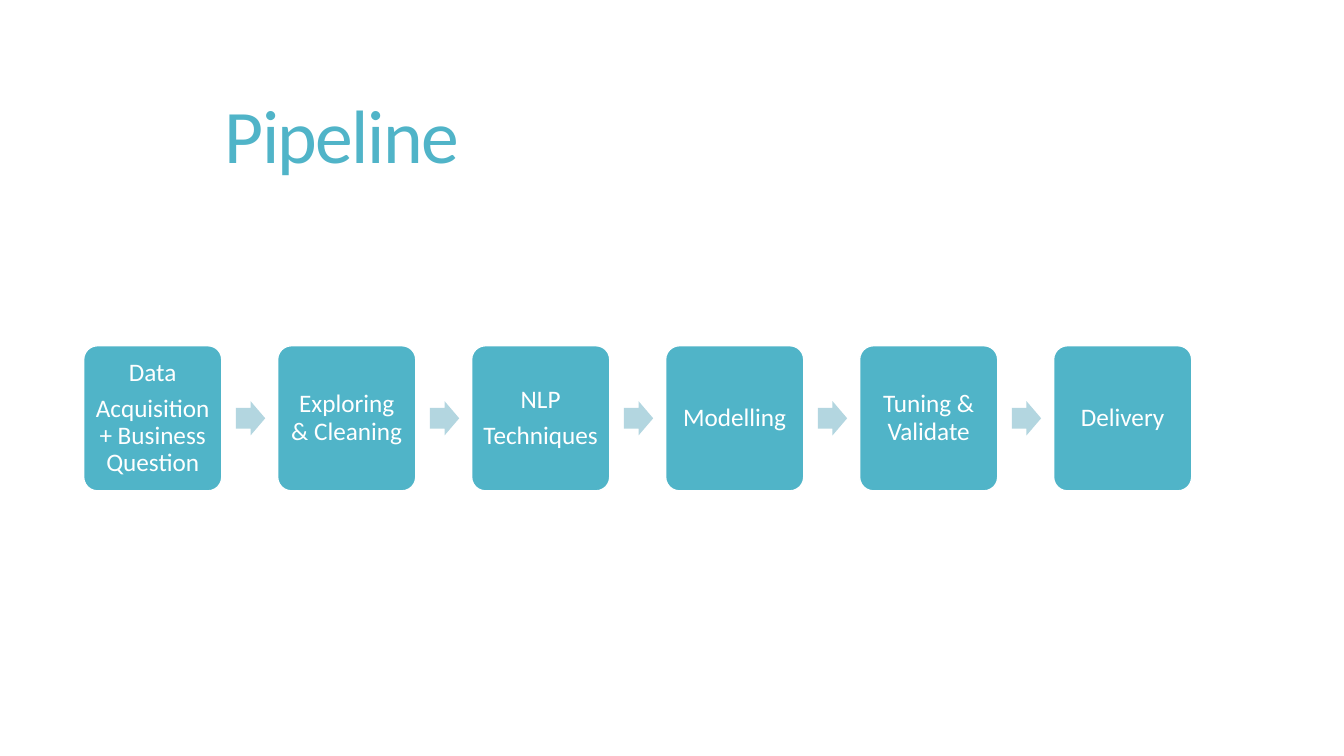
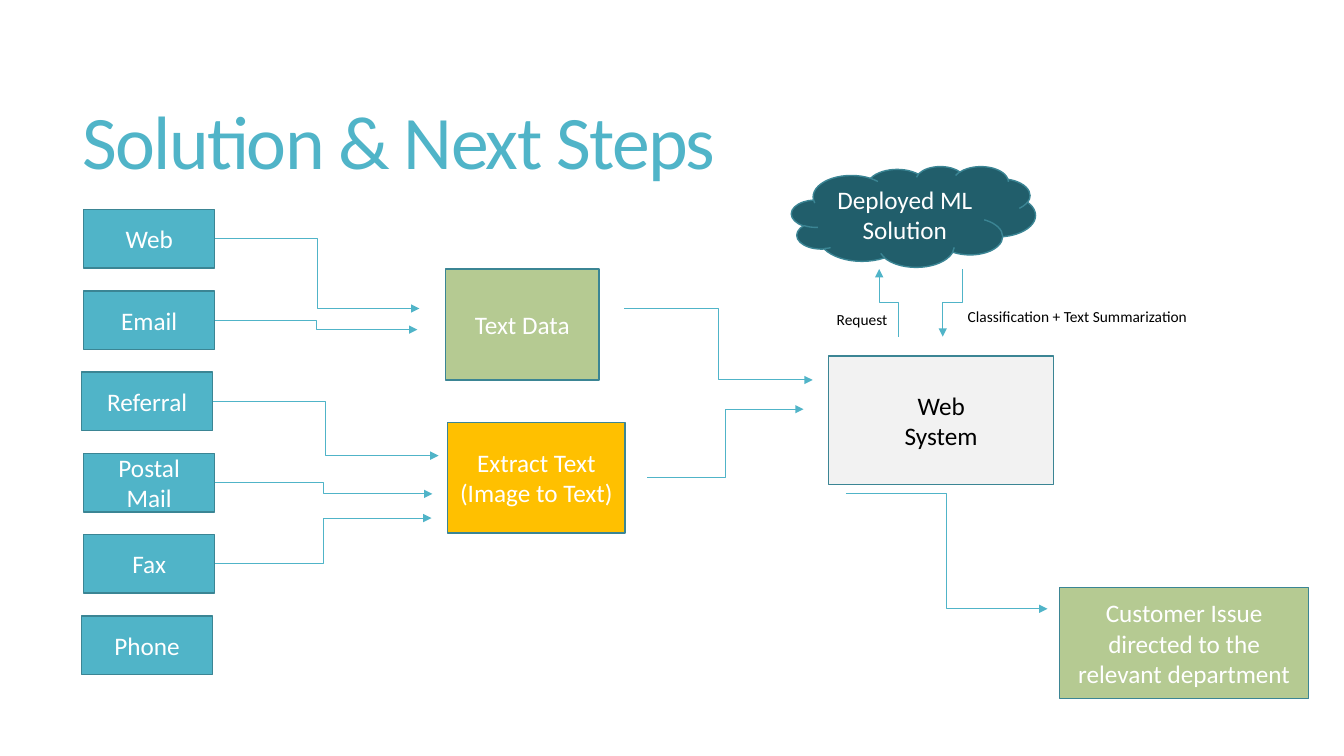
from dataclasses import dataclass

from lxml.etree import SubElement
from pptx import Presentation
from pptx.dml.color import RGBColor as RGB
from pptx.enum.shapes import MSO_CONNECTOR as LINK, MSO_SHAPE as SHAPE
from pptx.enum.text import MSO_ANCHOR as ANCHOR, PP_ALIGN as ALIGN
from pptx.oxml.ns import qn
from pptx.util import Inches, Pt


@dataclass(frozen=True)
class Theme:
    font: str = "Calibri"
    teal: str = "50B4C8"
    pale: str = "B3D6E0"
    deep: str = "215E6B"
    edge: str = "3B8594"
    green: str = "B5CA92"
    gold: str = "FFC000"
    grey: str = "F2F2F2"
    white: str = "FFFFFF"
    black: str = "000000"
    title: float = 54
    body: float = 18
    note: float = 11


THEME = Theme()


def apply(target, values):
    for name, value in values.items():
        setattr(target, name, value)


def write(shape, text, size, color, frame, para):
    box = shape.text_frame
    apply(box, frame)
    box.text = text
    for line in box.paragraphs:
        apply(line, para)
        for run in line.runs:
            apply(run.font, {"name": THEME.font, "size": Pt(size)})
            run.font.color.rgb = RGB.from_string(color)


def add_text(slide, at, text, size, color, frame, para):
    box = slide.shapes.add_textbox(*map(Inches, at))
    write(box, text, size, color, frame, para)
    return box


def add_title(slide, at, text):
    box = add_text(slide, at, text, THEME.title, THEME.teal,
                   {"word_wrap": True, "vertical_anchor": ANCHOR.MIDDLE},
                   {"line_spacing": 0.85})
    box.text_frame.paragraphs[0].runs[0].font._element.set("spc", "-120")


def add_form(slide, kind, at, fill, edge=None):
    form = slide.shapes.add_shape(kind, *map(Inches, at))
    form.shadow.inherit = False
    form.fill.solid()
    form.fill.fore_color.rgb = RGB.from_string(fill)
    if edge:
        form.line.color.rgb = RGB.from_string(edge)
        form.line.width = Pt(1)
    else:
        form.line.fill.background()
    return form


def add_box(slide, at, text, fill, color=THEME.white, kind=SHAPE.RECTANGLE):
    box = add_form(slide, kind, at, fill, THEME.edge)
    write(box, text, THEME.body, color,
          {"word_wrap": True, "vertical_anchor": ANCHOR.MIDDLE},
          {"alignment": ALIGN.CENTER})


def add_step(slide, at, text):
    step = add_form(slide, SHAPE.ROUNDED_RECTANGLE, at, THEME.teal, THEME.white)
    step.adjustments[0] = 0.1
    sides = ("left", "right", "top", "bottom")
    frame = {f"margin_{side}": Inches(0.07) for side in sides}
    frame.update(word_wrap=True, vertical_anchor=ANCHOR.MIDDLE)
    write(step, text, THEME.body, THEME.white, frame,
          {"alignment": ALIGN.CENTER, "line_spacing": 0.9,
           "space_after": Pt(6.3)})


def add_link(slide, start, end, upright=False):
    (x1, y1), (x2, y2) = start, end
    turn = 0
    if upright:
        turn = 270 if y2 < y1 else 90
        mid_x, mid_y = (x1 + x2) / 2, (y1 + y2) / 2
        half_w = abs(y2 - y1) / 2
        half_h = (x2 - x1) / 2 * (1 if turn == 270 else -1)
        x1, x2 = mid_x - half_w, mid_x + half_w
        y1, y2 = mid_y - half_h, mid_y + half_h
        if turn == 270:
            y1, y2 = mid_y - half_h, mid_y + half_h
    link = slide.shapes.add_connector(LINK.ELBOW, *map(Inches, (x1, y1, x2, y2)))
    link.line.color.rgb = RGB.from_string(THEME.teal)
    link.line.width = Pt(0.75)
    props = link._element.spPr
    if turn:
        props.find(qn("a:xfrm")).set("rot", str(turn * 60000))
    SubElement(props.find(qn("a:ln")), qn("a:tailEnd"), type="triangle")
    SubElement(props, qn("a:effectLst"))


def draw_pipeline(slide):
    add_title(slide, (2.13, 0.69, 9.75, 1.4), "Pipeline")
    steps = ("Data\nAcquisition + Business Question", "Exploring & Cleaning",
             "NLP\nTechniques", "Modelling", "Tuning & Validate", "Delivery")
    pitch = 9.62 / (len(steps) - 1)
    for i, text in enumerate(steps):
        left = 0.83 + i * pitch
        add_step(slide, (left, 3.43, 1.37, 1.44), text)
        if i < len(steps) - 1:
            arrow = add_form(slide, SHAPE.RIGHT_ARROW,
                             (left + 1.51, 3.98, 0.29, 0.34), THEME.pale)
            arrow.adjustments[0] = 0.6


def draw_plan(slide):
    add_title(slide, (0.72, 0.55, 11.78, 1.81), "Solution & Next Steps")
    inputs = (("Web", 0.83), ("Email", 0.83), ("Referral", 0.81),
              ("Postal Mail", 0.83), ("Fax", 0.83), ("Phone", 0.81))
    pitch = 4.03 / (len(inputs) - 1)
    for i, (text, left) in enumerate(inputs):
        add_box(slide, (left, 2.08 + i * pitch, 1.3, 0.58), text, THEME.teal)
    ends = ((4.16, 3.06), (4.14, 3.27), (4.35, 4.52), (4.29, 4.9), (4.28, 5.14))
    for i, end in enumerate(ends):
        add_link(slide, (inputs[i][1] + 1.3, 2.37 + i * pitch), end)

    add_box(slide, (4.44, 4.19, 1.76, 1.1), "Extract Text\n(Image to Text)",
            THEME.gold)
    add_box(slide, (4.42, 2.67, 1.52, 1.1), "Text Data", THEME.green)
    add_box(slide, (7.85, 1.65, 2.42, 1), "Deployed ML Solution", THEME.deep,
            kind=SHAPE.CLOUD)
    add_box(slide, (8.22, 3.53, 2.23, 1.28), "Web\nSystem", THEME.grey,
            THEME.black)
    add_box(slide, (10.51, 5.83, 2.47, 1.1),
            "Customer Issue\ndirected to the relevant department", THEME.green)

    for start, end in (((6.19, 3.06), (8.06, 3.77)),
                       ((6.42, 4.74), (7.97, 4.06)),
                       ((8.39, 4.9), (10.39, 6.04))):
        add_link(slide, start, end)
    add_link(slide, (8.91, 3.34), (8.72, 2.67), upright=True)
    add_link(slide, (9.55, 2.67), (9.35, 3.34), upright=True)

    for at, text, wrap in (
            ((8.2, 3.03, 0.71, 0.29), "Request", False),
            ((9.5, 3, 2.56, 0.29), "Classification + Text Summarization", True)):
        add_text(slide, at, text, THEME.note, THEME.black,
                 {"word_wrap": wrap}, {})


def main():
    deck = Presentation()
    apply(deck, {"slide_width": Inches(13.33), "slide_height": Inches(7.5)})
    for draw in (draw_pipeline, draw_plan):
        draw(deck.slides.add_slide(deck.slide_layouts[6]))
    deck.save("out.pptx")


main()
